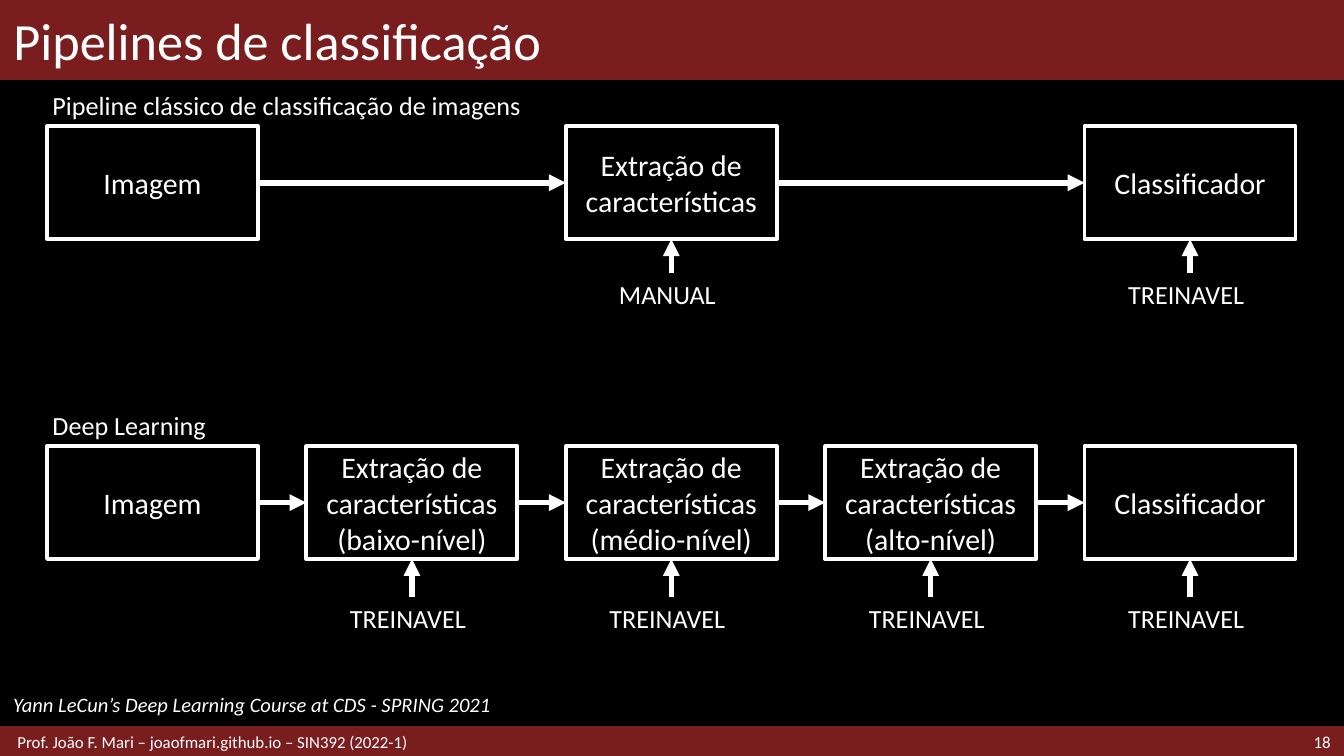
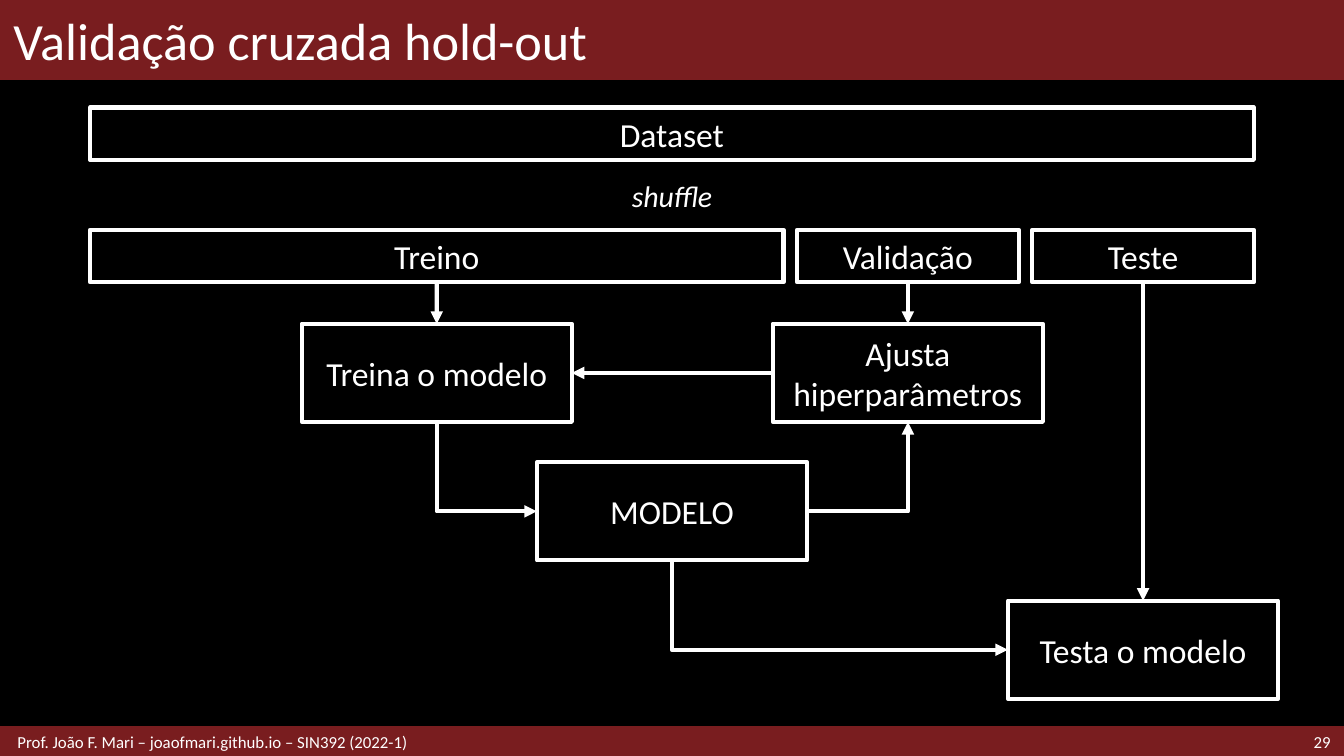
from pptx import Presentation
from pptx.dml.color import RGBColor
from pptx.enum.shapes import MSO_CONNECTOR as CONN, MSO_SHAPE as SHAPE
from pptx.enum.text import MSO_ANCHOR as ANCHOR, MSO_AUTO_SIZE as AUTO, PP_ALIGN as ALIGN
from pptx.oxml.ns import qn
from pptx.util import Inches, Pt
from lxml.etree import SubElement

W, H = 10, 5.625
FONT, WHITE, BLACK, WINE = "Calibri", "FFFFFF", "000000", "791D1F"
HEAD_H, FOOT_H = 0.59, 0.21
TOP, LEFT, BOTTOM, RIGHT = range(4)  # connection sites of a rectangle
FOOTER = "Prof. João F. Mari – joaofmari.github.io – SIN392 (2022-1)"
TAG = dict(size=14, ins=(0.04, 0.05, 0.1, 0.05))


def rgb(value):
    return RGBColor.from_string(value)


def emu(box):
    return [Inches(v) for v in box]


def write(sp, text, size, align=ALIGN.LEFT, italic=False,
          ins=(0.1, 0.05, 0.1, 0.05), anchor=ANCHOR.MIDDLE, wrap=True):
    tf = sp.text_frame
    tf.text = text
    frame = dict(zip(("margin_left", "margin_top", "margin_right", "margin_bottom"), emu(ins)))
    frame.update(word_wrap=wrap, auto_size=AUTO.NONE, vertical_anchor=anchor)
    for name, value in frame.items():
        setattr(tf, name, value)
    for p in tf.paragraphs:
        p.alignment = align
        for name, value in dict(name=FONT, size=Pt(size), italic=italic).items():
            setattr(p.font, name, value)
        p.font.color.rgb = rgb(WHITE)


def label(s, box, text, size, **fmt):
    sp = s.shapes.add_textbox(*emu(box))
    write(sp, text, size, **fmt)
    return sp


def rect(s, box, line, weight, fill=None):
    sp = s.shapes.add_shape(SHAPE.RECTANGLE, *emu(box))
    sp.shadow.inherit = False
    if fill:
        sp.fill.solid()
        sp.fill.fore_color.rgb = rgb(fill)
    else:
        sp.fill.background()
    sp.line.color.rgb = rgb(line)
    sp.line.width = Pt(weight)
    return sp


def node(s, box, text, size, weight):
    sp = rect(s, box, WHITE, weight)
    write(sp, text, size, align=ALIGN.CENTER)
    return sp


def join(s, a, a_site, b, b_site, weight, kind=CONN.STRAIGHT, arrow="tailEnd"):
    """Connect two shapes; an elbow leaves a sideways and meets b vertically."""
    c = s.shapes.add_connector(kind, 0, 0, 0, 0)
    c.begin_connect(a, a_site)
    c.end_connect(b, b_site)
    c.line.color.rgb = rgb(WHITE)
    c.line.width = Pt(weight)
    pr = c.element.spPr
    SubElement(pr.find(qn("a:ln")), qn("a:" + arrow), type="triangle")
    SubElement(pr, qn("a:effectLst"))
    if kind == CONN.ELBOW:
        pr.find(qn("a:prstGeom")).set("prst", "bentConnector2")


def base_slide(prs, title, number):
    """Background, bands, title and footer shared by every slide."""
    s = prs.slides.add_slide(prs.slide_layouts[5])
    s.background.fill.solid()
    s.background.fill.fore_color.rgb = rgb(BLACK)
    head = (0, 0, W, HEAD_H)
    foot_y = H - FOOT_H
    rect(s, head, WINE, 1, WINE)
    rect(s, (0, foot_y, W, FOOT_H), WINE, 2, WINE)
    # Title, raised above the band
    sp = s.shapes.title
    sp.left, sp.top, sp.width, sp.height = emu(head)
    write(sp, title, 28)
    s.shapes.element.append(sp.element)
    # Footer
    label(s, (W - 1.14, foot_y, 1.14, FOOT_H), number, 9, align=ALIGN.RIGHT)
    label(s, (0, foot_y, 6.89, FOOT_H), FOOTER, 9, ins=(0.13, 0.05, 0.1, 0.05))
    return s


def pipeline(s, box, heading, steps, tag_y):
    """Row of linked steps; steps are (column, text, tag) on a five-column grid."""
    x, y, w, h = box
    step_w, tag_h = 1.57, 0.31
    pitch = (w - step_w) / 4
    label(s, (x, y - tag_h, 5.51, tag_h), heading, **TAG)
    last = None
    for col, text, tag in steps:
        left = x + col * pitch
        sp = node(s, (left, y, step_w, h), text, 16, 2)
        if last is not None:
            join(s, last, RIGHT, sp, LEFT, 3)
        if tag:
            tag_sp = label(s, (left, y + tag_y, step_w, tag_h), tag, align=ALIGN.CENTER, **TAG)
            join(s, tag_sp, TOP, sp, BOTTOM, 3)
        last = sp


def pipelines_slide(prs):
    s = base_slide(prs, "Pipelines de classificação", "18")
    extract = "Extração de características"
    x, w, h = 0.35, 9.29, 0.84
    pipeline(s, (x, 0.94, w, h), "Pipeline clássico de classificação de imagens",
             [(0, "Imagem", None), (2, extract, "MANUAL"), (4, "Classificador", "TREINAVEL")], 1.09)
    levels = [(i, f"{extract}\n({level}-nível)", "TREINAVEL")
              for i, level in enumerate(("baixo", "médio", "alto"), 1)]
    pipeline(s, (x, 3.32, w, h), "Deep Learning",
             [(0, "Imagem", None), *levels, (4, "Classificador", "TREINAVEL")], 1.12)
    # Source credit
    label(s, (0, 5.1, W / 2, 0.29), "Yann LeCun’s Deep Learning Course at CDS - SPRING 2021",
          11, italic=True, anchor=ANCHOR.TOP)


def holdout_flow(s, box):
    x, y, w, h = box
    size, weight, bar_h, gap = 18, 2.25, 0.39, 0.1
    step_w, step_h, pitch = 2.01, 0.73, 1.03
    # Whole data set and its three parts
    node(s, (x, y, w, bar_h), "Dataset", size, weight)
    label(s, (x + w / 2 - 0.41, y + 0.47, 0.82, 0.37), "shuffle", 16,
          align=ALIGN.CENTER, italic=True, anchor=ANCHOR.TOP, wrap=False)
    bars, centres, left = [], [], x
    for text, bar_w in (("Treino", 5.16), ("Validação", 1.65), ("Teste", 1.65)):
        bars.append(node(s, (left, y + 0.91, bar_w, bar_h), text, size, weight))
        centres.append(left + bar_w / 2)
        left += bar_w + gap

    # Steps centred below the parts
    def step(centre, row, text):
        top = y + h - step_h - (2 - row) * pitch
        return node(s, (centre - step_w / 2, top, step_w, step_h), text, size, weight)

    train = step(centres[0], 0, "Treina o modelo")
    tune = step(centres[1], 0, "Ajusta hiperparâmetros")
    model = step(x + w / 2, 1, "MODELO")
    test = step(centres[2], 2, "Testa o modelo")
    for bar, target in zip(bars, (train, tune, test)):
        join(s, bar, BOTTOM, target, TOP, weight)
    join(s, tune, LEFT, train, RIGHT, weight)
    # Elbows
    join(s, model, LEFT, train, BOTTOM, weight, CONN.ELBOW, "headEnd")
    join(s, model, RIGHT, tune, BOTTOM, weight, CONN.ELBOW)
    join(s, test, LEFT, model, BOTTOM, weight, CONN.ELBOW, "headEnd")


def holdout_slide(prs):
    s = base_slide(prs, "Validação cruzada hold-out", "29")
    holdout_flow(s, (0.67, 0.8, 8.66, 4.4))


def main():
    prs = Presentation()
    prs.slide_width, prs.slide_height = Inches(W), Inches(H)
    pipelines_slide(prs)
    holdout_slide(prs)
    prs.save("out.pptx")


if __name__ == "__main__":
    main()
